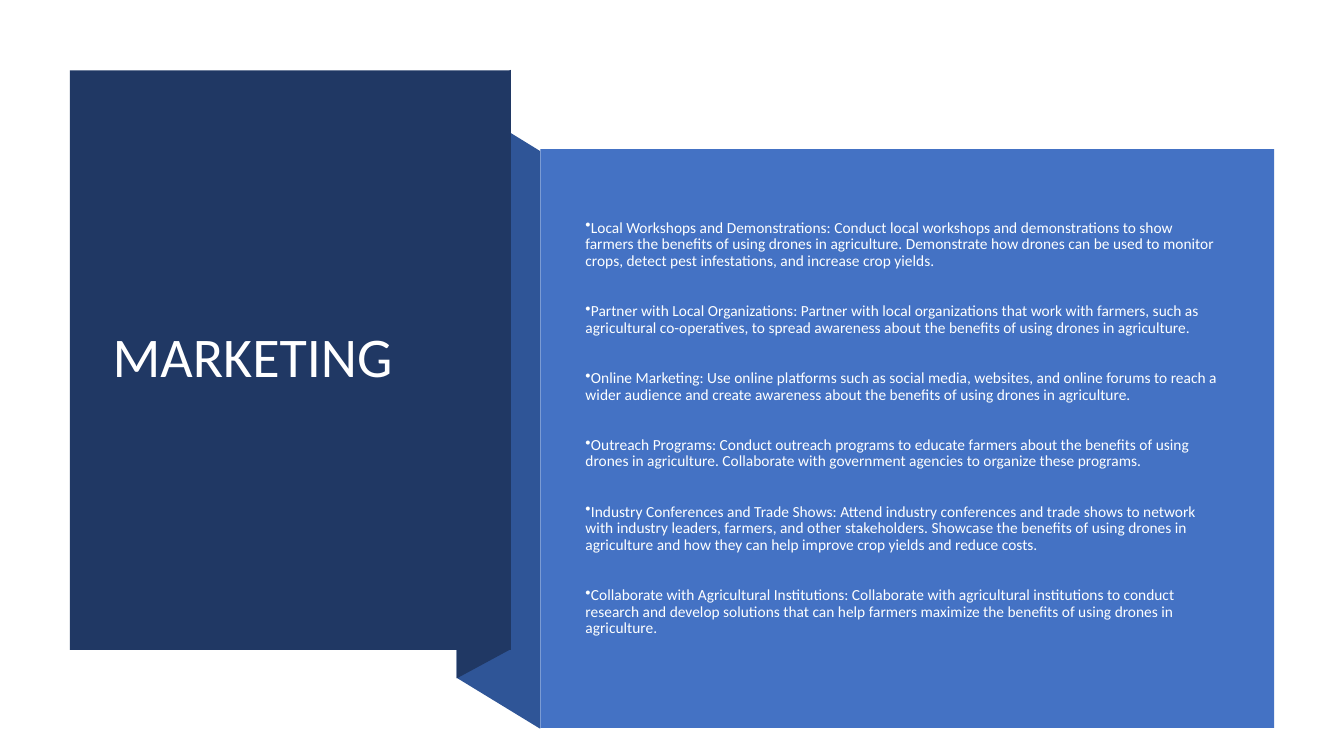
import pptx
import pptx.dml.color
import pptx.enum.shapes
import pptx.enum.text
import pptx.oxml
import pptx.oxml.ns
import pptx.util

TITLE = "MARKETING"
STRATEGIES = [
    "Local Workshops and Demonstrations: Conduct local workshops and demonstrations to show farmers the benefits of using drones in agriculture. Demonstrate how drones can be used to monitor crops, detect pest infestations, and increase crop yields.",
    "Partner with Local Organizations: Partner with local organizations that work with farmers, such as agricultural co-operatives, to spread awareness about the benefits of using drones in agriculture.",
    "Online Marketing: Use online platforms such as social media, websites, and online forums to reach a wider audience and create awareness about the benefits of using drones in agriculture.",
    "Outreach Programs: Conduct outreach programs to educate farmers about the benefits of using drones in agriculture. Collaborate with government agencies to organize these programs.",
    "Industry Conferences and Trade Shows: Attend industry conferences and trade shows to network with industry leaders, farmers, and other stakeholders. Showcase the benefits of using drones in agriculture and how they can help improve crop yields and reduce costs.",
    "Collaborate with Agricultural Institutions: Collaborate with agricultural institutions to conduct research and develop solutions that can help farmers maximize the benefits of using drones in agriculture.",
]

THEME = {
    "font": "Calibri",
    "title_size": 40,
    "body_size": 11,
    "title_text": "FFFFFF",
    "body_text": "FEFFFF",
    "navy": "203864",
    "fold": "2F5597",
    "blue": "4472C4",
}

SLIDE_SIZE = (960, 540)
TITLE_PANEL = (49.9, 50.2, 315, 414)
BODY_PANEL = (385.9, 106.6, 524.2, 413.4)
TITLE_BOX = (73.4, 77, 267.1, 359.3)
BODY_BOX = (411.1, 135.4, 468.7, 341.3)
FOLD_LEFT = 326.2
FOLD_RIGHT = BODY_PANEL[0]
TITLE_RIGHT = TITLE_PANEL[0] + TITLE_PANEL[2]
BACK_FOLD = [(FOLD_RIGHT, 520.6), (FOLD_LEFT, 484.2), (FOLD_LEFT, 71.3), (FOLD_RIGHT, 108)]
FRONT_FOLD = [(TITLE_RIGHT, 463.7), (FOLD_LEFT, 484.6), (FOLD_LEFT, 70.6), (TITLE_RIGHT, 49.9)]


def points(values):
    return [pptx.util.Pt(value) for value in values]


def color(name):
    return pptx.dml.color.RGBColor.from_string(THEME[name])


def paint(shape, fill):
    shape.shadow.inherit = False
    shape.fill.solid()
    shape.fill.fore_color.rgb = color(fill)
    shape.line.fill.background()


def add_fold(slide, corners, fill):
    start, *rest = [points(corner) for corner in corners]
    builder = slide.shapes.build_freeform(*start)
    builder.add_line_segments(rest, close=True)
    paint(builder.convert_to_shape(), fill)


def add_panel(slide, box, fill):
    rectangle = pptx.enum.shapes.MSO_SHAPE.RECTANGLE
    paint(slide.shapes.add_shape(rectangle, *points(box)), fill)


def add_text(slide, box, texts, style, space_after=0):
    frame = slide.shapes.add_textbox(*points(box)).text_frame
    frame.word_wrap = True
    frame.vertical_anchor = pptx.enum.text.MSO_ANCHOR.MIDDLE
    frame.text = "\n".join(texts)
    for paragraph in frame.paragraphs:
        paragraph.line_spacing = 0.9
        paragraph.space_after = pptx.util.Pt(space_after)
        paragraph.font.name = THEME["font"]
        paragraph.font.size = pptx.util.Pt(THEME[style + "_size"])
        paragraph.font.color.rgb = color(style + "_text")
    return frame


def add_bullet(paragraph):
    properties = paragraph._p.get_or_add_pPr()
    properties.set("marL", "0")
    properties.set("indent", str(-pptx.util.Pt(18)))
    namespace = pptx.oxml.ns.nsdecls("a")
    bullet = pptx.oxml.parse_xml(f'<a:buChar {namespace} char="•"/>')
    properties.find(pptx.oxml.ns.qn("a:defRPr")).addprevious(bullet)


def main():
    presentation = pptx.Presentation()
    presentation.slide_width, presentation.slide_height = points(SLIDE_SIZE)
    slide = presentation.slides.add_slide(presentation.slide_layouts[6])
    add_fold(slide, BACK_FOLD, "fold")
    add_fold(slide, FRONT_FOLD, "navy")
    add_panel(slide, TITLE_PANEL, "navy")
    add_text(slide, TITLE_BOX, [TITLE], "title")
    add_panel(slide, BODY_PANEL, "blue")
    body = add_text(slide, BODY_BOX, STRATEGIES, "body", space_after=24)
    for paragraph in body.paragraphs:
        add_bullet(paragraph)
    presentation.save("out.pptx")


if __name__ == "__main__":
    main()
